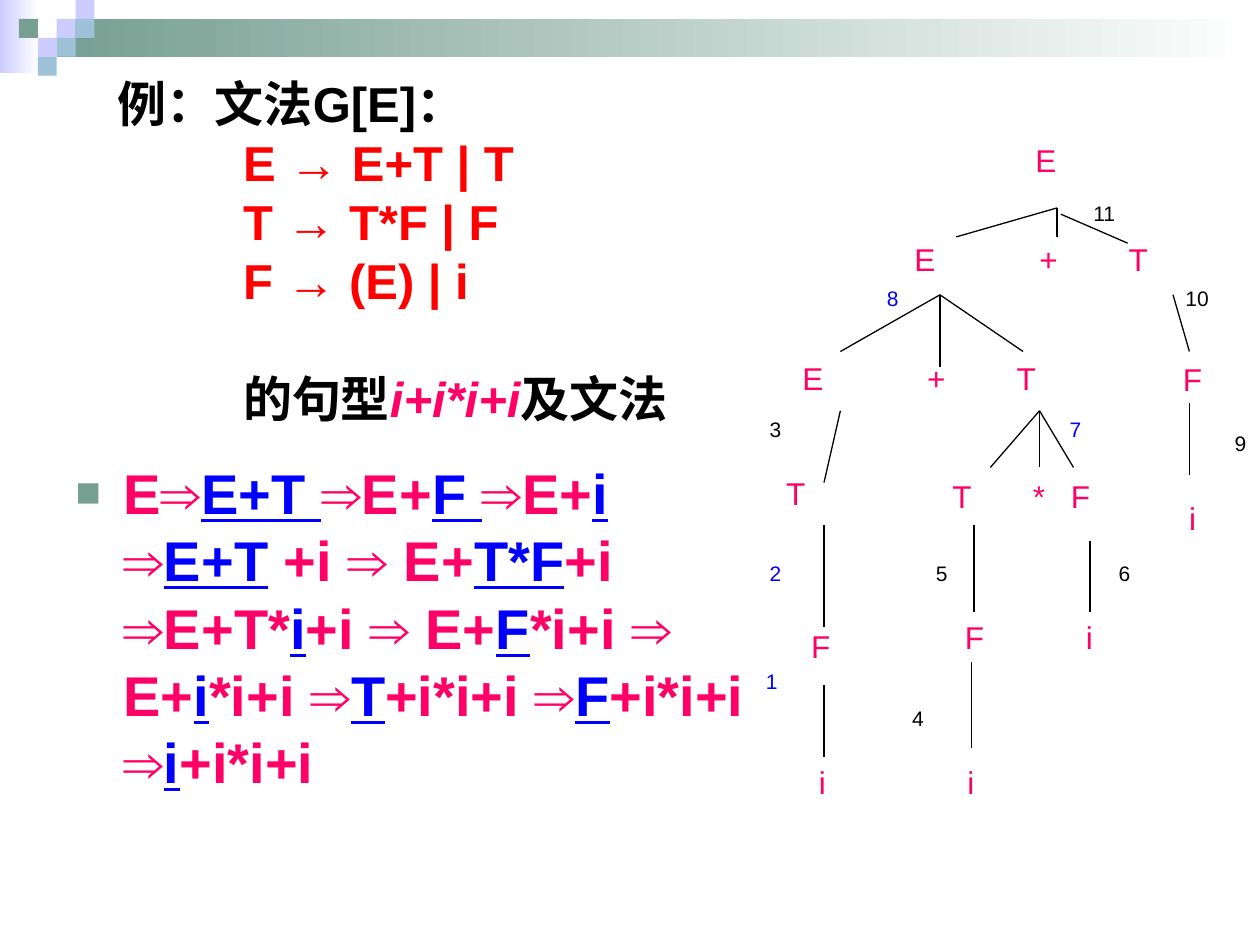
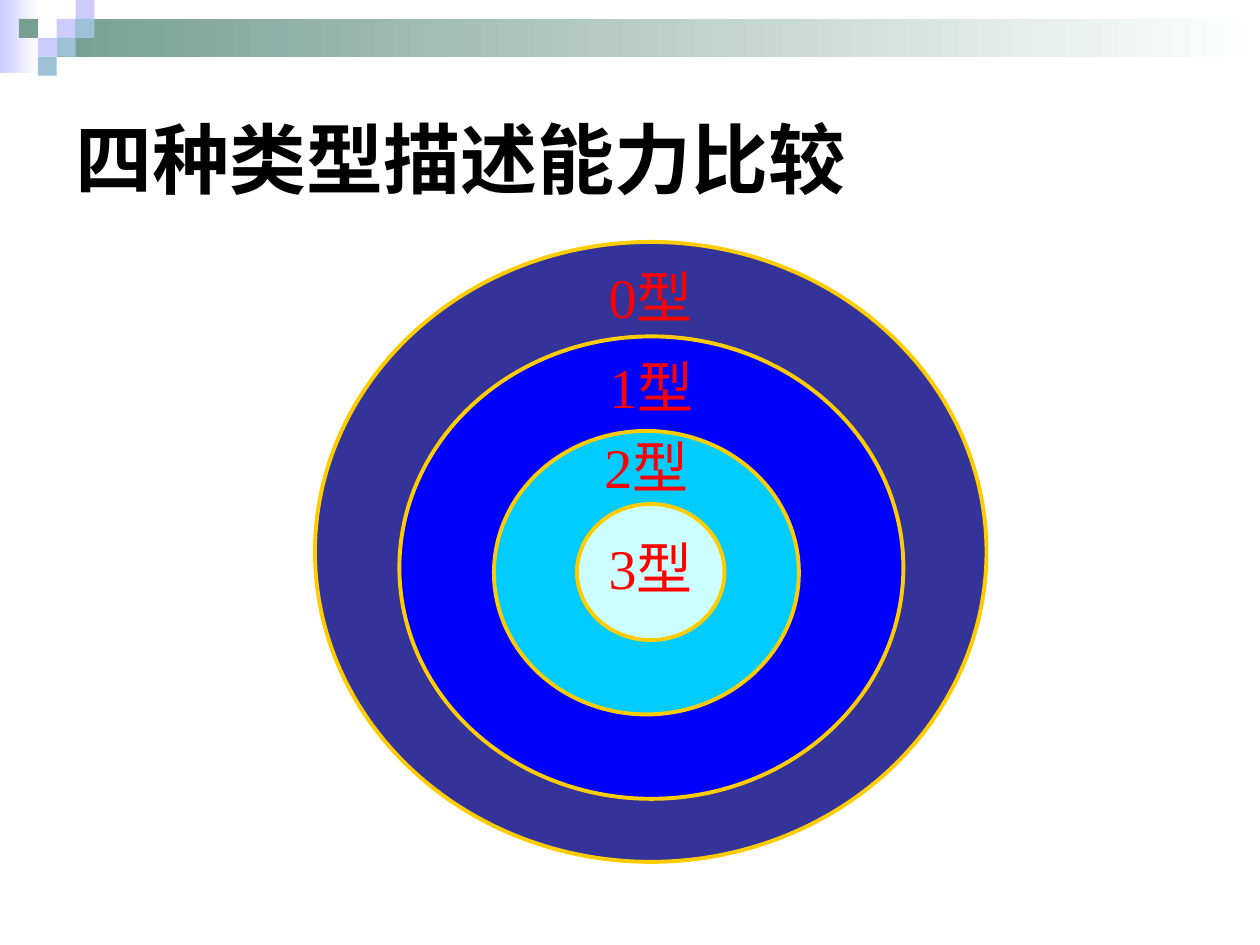
from dataclasses import dataclass

from lxml import etree
from pptx import Presentation
from pptx.dml.color import RGBColor
from pptx.enum.shapes import MSO_CONNECTOR, MSO_SHAPE
from pptx.enum.text import MSO_ANCHOR, MSO_AUTO_SIZE, PP_ALIGN
from pptx.oxml.ns import qn
from pptx.util import Inches, Pt

RECTANGLE, OVAL = MSO_SHAPE.RECTANGLE, MSO_SHAPE.OVAL
STRAIGHT = MSO_CONNECTOR.STRAIGHT
TOP, MIDDLE = MSO_ANCHOR.TOP, MSO_ANCHOR.MIDDLE
LEFT, CENTER = PP_ALIGN.LEFT, PP_ALIGN.CENTER
NO_AUTOFIT = MSO_AUTO_SIZE.NONE
TITLE_AND_CONTENT, TITLE_ONLY = 1, 5
OVAL_TEXT_TOP = 0.1464  # share of an oval's height above its text rectangle


@dataclass(frozen=True)
class Theme:
    latin: str = "Arial"
    serif: str = "Times New Roman"
    chinese: str = "Noto Sans CJK SC"
    black: str = "000000"
    white: str = "FFFFFF"
    red: str = "FF0000"
    pink: str = "FF0066"
    blue: str = "0000FF"
    lavender: str = "CCCCFF"
    sky: str = "9DC2D7"
    sage: str = "779F92"
    gold: str = "FFCC00"
    rings: tuple = ("333399", "0000FF", "00CCFF", "CCFFFF")
    title_size: int = 44
    body_size: int = 32
    grammar_size: int = 28
    node_size: int = 18
    step_size: int = 12


THEME = Theme()


def color(value):
    return RGBColor.from_string(value)


def inches(*values):
    return [Inches(round(value, 2)) for value in values]


def add_run(paragraph, text, size, ink, font=THEME.latin, bold=False, italic=False, underline=False):
    run = paragraph.add_run()
    run.text = text
    run.font.size = Pt(size)
    run.font.name = font
    run.font.bold = bold
    run.font.italic = italic
    run.font.underline = underline
    run.font.color.rgb = color(ink)
    properties = run.font._element
    east_asian = etree.Element(qn("a:ea"), typeface=THEME.chinese)
    properties.find(qn("a:latin")).addnext(east_asian)


def prepare_placeholder(placeholder, box, anchor):
    placeholder.left, placeholder.top, placeholder.width, placeholder.height = inches(*box)
    frame = placeholder.text_frame
    frame.word_wrap = True
    frame.auto_size = NO_AUTOFIT
    frame.vertical_anchor = anchor
    frame.paragraphs[0].alignment = LEFT
    return frame


def add_block(slide, box, start, end=None):
    """Add a borderless rectangle, with a gradient when an end colour is given."""
    block = slide.shapes.add_shape(RECTANGLE, *inches(*box))
    block.shadow.inherit = False
    block.line.fill.background()
    if end:
        block.fill.gradient()
        block.fill.gradient_angle = 0
        for stop, value in zip(block.fill.gradient_stops, (start, end)):
            stop.color.rgb = color(value)
    else:
        block.fill.solid()
        block.fill.fore_color.rgb = color(start)
    return block


def decorate_master(presentation, slide):
    """Draw the top band and its mosaic, then hand them to the slide master."""
    side = 0.15
    blocks = [
        add_block(slide, (0, 0, 0.31, 0.58), THEME.lavender, THEME.white),
        add_block(slide, (0.45, side, 9.55, 0.3), THEME.sage, THEME.white),
    ]
    mosaic = [
        (3, 1, THEME.lavender), (4, 0, THEME.lavender), (4, 1, THEME.sky),
        (2, 2, THEME.lavender), (1, 1, THEME.sage), (3, 2, THEME.sky), (2, 3, THEME.sky),
    ]
    for column, row, fill in mosaic:
        blocks.append(add_block(slide, (column * side, row * side, side, side), fill))
    tree = presentation.slide_master.shapes.element
    for position, block in enumerate(blocks, start=2):
        tree.insert(position, block.element)


def add_grammar(slide, box):
    frame = prepare_placeholder(slide.shapes.title, box, MIDDLE)
    size = THEME.grammar_size
    add_run(frame.paragraphs[0], "例：文法G[E]：", size, THEME.black, bold=True)
    for rule in ("E → E+T | T", "T → T*F | F", "F → (E) | i"):
        paragraph = frame.add_paragraph()
        paragraph.alignment = LEFT
        paragraph._p.get_or_add_pPr().set("marL", str(Inches(1)))
        add_run(paragraph, rule, size, THEME.red, bold=True)
    closing = frame.add_paragraph()
    closing.alignment = LEFT
    closing.space_before = Pt(34)
    add_run(closing, "的句型", size, THEME.black, bold=True)
    add_run(closing, "i+i*i+i", size, THEME.pink, bold=True, italic=True)
    add_run(closing, "及文法", size, THEME.black, bold=True)


def set_square_bullet(paragraph):
    properties = paragraph._p.get_or_add_pPr()
    properties.set("marL", str(Inches(0.38)))
    properties.set("indent", str(Inches(-0.38)))
    bullet_color = etree.SubElement(properties, qn("a:buClr"))
    etree.SubElement(bullet_color, qn("a:srgbClr"), val=THEME.sage)
    etree.SubElement(properties, qn("a:buSzPct"), val="75000")
    etree.SubElement(properties, qn("a:buFont"), typeface=THEME.latin)
    etree.SubElement(properties, qn("a:buChar"), char="■")


def add_derivation(slide, box):
    """Write the derivation; every second part is the freshly replaced symbol."""
    paragraph = prepare_placeholder(slide.placeholders[1], box, TOP).paragraphs[0]
    set_square_bullet(paragraph)
    paragraph.space_before = Pt(0)
    parts = [
        "E⇒", "E+T ", "⇒E+", "F ", "⇒E+", "i ", "⇒", "E+T", " +i ⇒ E+", "T*F",
        "+i ⇒E+T*", "i", "+i ⇒ E+", "F", "*i+i ⇒ E+", "i", "*i+i ⇒", "T",
        "+i*i+i ⇒", "F", "+i*i+i ⇒", "i", "+i*i+i",
    ]
    for index, part in enumerate(parts):
        replaced = index % 2 == 1
        ink = THEME.blue if replaced else THEME.pink
        add_run(paragraph, part, THEME.body_size, ink, bold=True, underline=replaced)


def add_label(slide, box, text, size, ink):
    frame = slide.shapes.add_textbox(*inches(*box)).text_frame
    frame.word_wrap = True
    frame.margin_right = 0
    add_run(frame.paragraphs[0], text, size, ink)


def add_edge(slide, start, end):
    edge = slide.shapes.add_connector(STRAIGHT, *inches(*start, *end))
    edge.line.color.rgb = color(THEME.black)
    edge.line.width = Pt(0.75)
    etree.SubElement(edge.element.spPr, qn("a:effectLst"))


def add_syntax_tree(slide, left, top):
    nodes = [
        ("E", 2.12, 0.07),
        ("E", 1.16, 0.86), ("+", 2.15, 0.86), ("T", 2.86, 0.86),
        ("E", 0.27, 1.8), ("+", 1.26, 1.8), ("T", 1.97, 1.8), ("F", 3.29, 1.81),
        ("T", 0.14, 2.71), ("T", 1.46, 2.74), ("*", 2.1, 2.74), ("F", 2.4, 2.74),
        ("i", 3.34, 2.91),
        ("F", 0.34, 3.93), ("F", 1.56, 3.86), ("i", 2.52, 3.86),
        ("i", 0.4, 5.01), ("i", 1.58, 5.01),
    ]
    for symbol, x, y in nodes:
        add_label(slide, (left + x, top + y, 0.4, 0.4), symbol, THEME.node_size, THEME.pink)

    branches = [
        ((2.39, 0.65), [(1.59, 0.88), (2.39, 0.88)]),
        ((2.42, 0.7), [(2.95, 0.93)]),
        ((1.46, 1.34), [(0.67, 1.79), (1.46, 1.91), (2.12, 1.79)]),
        ((3.31, 1.34), [(3.44, 1.79)]),
        ((3.44, 2.2), [(3.44, 2.77)]),
        ((0.67, 2.26), [(0.54, 2.83)]),
        ((2.25, 2.26), [(1.86, 2.71), (2.25, 2.71), (2.52, 2.71)]),
        ((0.54, 3.17), [(0.54, 3.98)]),
        ((1.73, 3.17), [(1.73, 3.86)]),
        ((2.65, 3.29), [(2.65, 3.86)]),
        ((1.71, 4.25), [(1.71, 4.94)]),
        ((0.54, 4.44), [(0.54, 5.01)]),
    ]
    for (x, y), ends in branches:
        for end_x, end_y in ends:
            add_edge(slide, (left + x, top + y), (left + end_x, top + end_y))

    step_places = [
        (-0.02, 4.26), (0.01, 3.4), (0.01, 2.26), (1.14, 4.55), (1.33, 3.4), (2.78, 3.4),
        (2.39, 2.26), (0.94, 1.22), (3.7, 2.37), (3.31, 1.22), (2.58, 0.54),
    ]
    blue_steps = {1, 2, 7, 8}
    for step, (x, y) in enumerate(step_places, start=1):
        ink = THEME.blue if step in blue_steps else THEME.black
        add_label(slide, (left + x, top + y, 0.3, 0.3), str(step), THEME.step_size, ink)


def add_nested_types(slide, left, top):
    """Draw the grammar types as nested ovals, the widest class first."""
    ovals = [
        (0, 0, 5.33, 4.92, 0.16),
        (0.67, 0.75, 4, 3.67, 0.13),
        (1.42, 1.5, 2.42, 2.25, 0.01),
        (2.08, 2.08, 1.17, 1.08, 0.24),
    ]
    for number, (x, y, width, height, label_top) in enumerate(ovals):
        oval = slide.shapes.add_shape(OVAL, *inches(left + x, top + y, width, height))
        oval.shadow.inherit = False
        oval.fill.solid()
        oval.fill.fore_color.rgb = color(THEME.rings[number])
        oval.line.color.rgb = color(THEME.gold)
        oval.line.width = Pt(2.25)
        frame = oval.text_frame
        frame.word_wrap = False
        frame.vertical_anchor = TOP
        frame.margin_top = Inches(round(label_top - OVAL_TEXT_TOP * height, 2))
        frame.margin_bottom = 0
        paragraph = frame.paragraphs[0]
        paragraph.alignment = CENTER
        add_run(paragraph, f"{number}型", THEME.body_size, THEME.red, THEME.serif)


def build_derivation_slide(slide):
    add_derivation(slide, (0.5, 3.59, 5.58, 3.24))
    add_grammar(slide, (0.83, 0.6, 9, 2.78))
    add_syntax_tree(slide, 6, 1)


def build_comparison_slide(slide):
    frame = prepare_placeholder(slide.shapes.title, (0.5, 0.5, 9, 1.5), MIDDLE)
    add_run(frame.paragraphs[0], "四种类型描述能力比较", THEME.title_size, THEME.black,
            THEME.chinese, bold=True)
    add_nested_types(slide, 2.5, 1.92)


def main():
    presentation = Presentation()
    presentation.slide_width, presentation.slide_height = inches(10, 7.5)
    layouts = presentation.slide_layouts
    derivation = presentation.slides.add_slide(layouts[TITLE_AND_CONTENT])
    decorate_master(presentation, derivation)
    build_derivation_slide(derivation)
    build_comparison_slide(presentation.slides.add_slide(layouts[TITLE_ONLY]))
    presentation.save("out.pptx")


if __name__ == "__main__":
    main()
